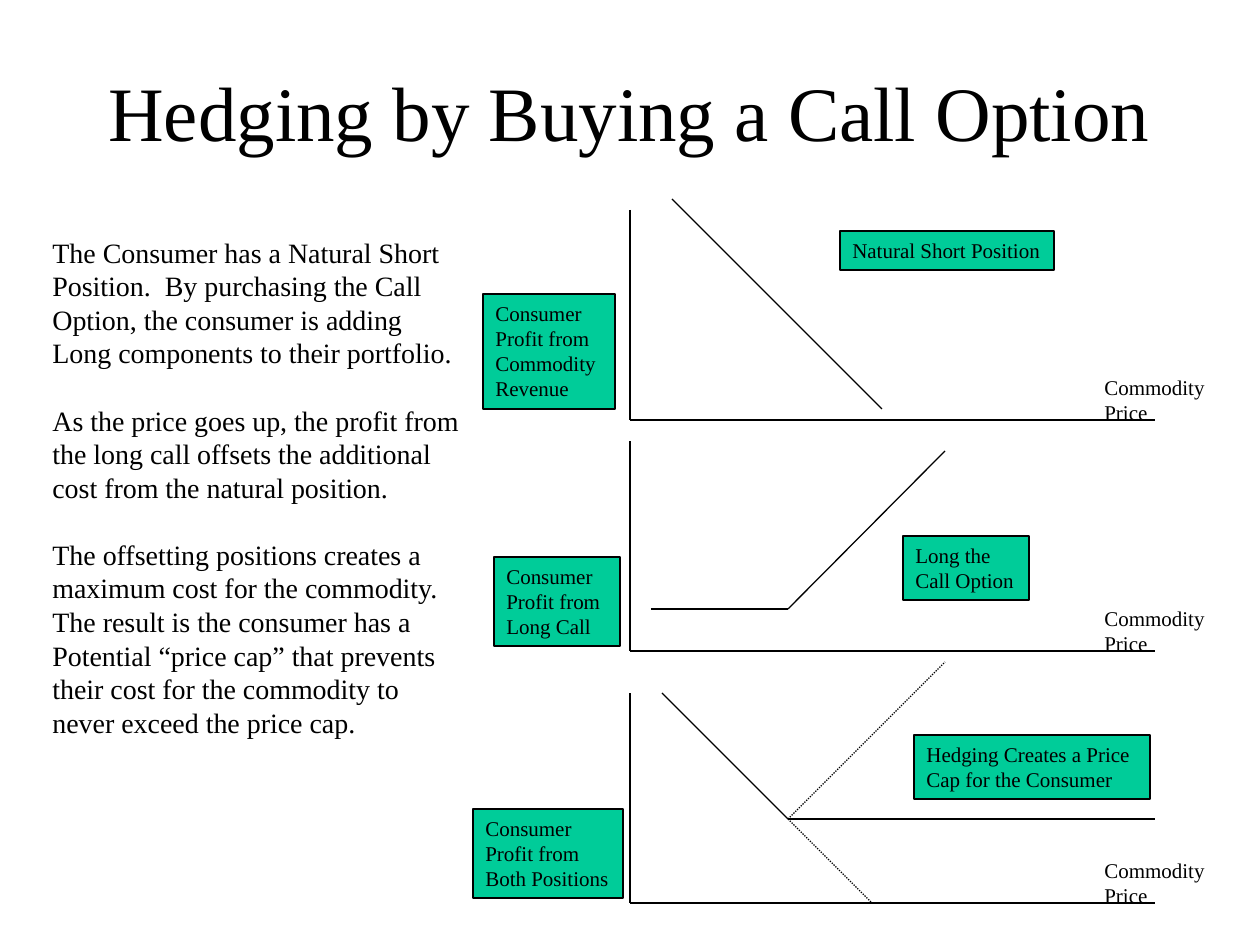
"""Build a slide on hedging a natural short position with a call option."""
from typing import NamedTuple

from lxml import etree
from pptx import Presentation
from pptx import util as u
from pptx.dml.color import RGBColor
from pptx.enum import dml, shapes, text
from pptx.oxml.ns import qn

SCALE = 914400 / 126
FONT = "Times New Roman"
HUES = {"ink": "000000", "box": "00CC99"}
LEFT, RIGHT, TALL = 630, 1155, 210


class Box(NamedTuple):
    x: int
    y: int
    w: int
    h: int
    words: str


class Line(NamedTuple):
    x1: int
    y1: int
    x2: int
    y2: int
    dots: bool = False


TOPS = [210, 441, 693]
BOXES = [
    Box(483, 294, 132, 115, "Consumer\nProfit from\nCommodity\nRevenue"),
    Box(840, 231, 214, 39, "Natural Short Position"),
    Box(494, 557, 126, 89, "Consumer\nProfit from\nLong Call"),
    Box(903, 536, 126, 64, "Long the\nCall Option"),
    Box(473, 809, 150, 89, "Consumer\nProfit from\nBoth Positions"),
    Box(914, 735, 236, 64, "Hedging Creates a Price\nCap for the Consumer"),
]
PAYOFFS = [
    Line(672, 199, 882, 409),
    Line(651, 609, 788, 609),
    Line(788, 609, 945, 451),
    Line(662, 693, 788, 819),
    Line(788, 819, RIGHT, 819),
    Line(788, 819, 945, 662, True),
    Line(788, 819, 872, 903, True),
]
STORY = Box(40, 229, 433, 518, """The Consumer has a Natural Short
Position.  By purchasing the Call
Option, the consumer is adding
Long components to their portfolio.

As the price goes up, the profit from
the long call offsets the additional
cost from the natural position.

The offsetting positions creates a
maximum cost for the commodity.
The result is the consumer has a
Potential “price cap” that prevents
their cost for the commodity to
never exceed the price cap.""")


def px(n: float) -> int:
    return round(n * SCALE)


def hue(name: str) -> RGBColor:
    return RGBColor.from_string(HUES[name])


def write(frame, words: str, size: int = 12, align=text.PP_ALIGN.LEFT,
          anchor=text.MSO_ANCHOR.TOP, wrap: bool = False, gap: float = 0) -> None:
    frame.word_wrap = wrap
    frame.auto_size = text.MSO_AUTO_SIZE.NONE
    frame.vertical_anchor = anchor
    first = True
    for block in words.split("\n\n"):
        for i, row in enumerate(block.split("\n")):
            para = frame.paragraphs[0] if first else frame.add_paragraph()
            para.alignment = align
            if i == 0 and not first:
                para.space_before = u.Pt(gap)
            first = False
            run = para.add_run()
            run.text = row
            run.font.name = FONT
            run.font.size = u.Pt(size)
            run.font.color.rgb = hue("ink")


def place(box: Box) -> list[int]:
    return [px(n) for n in box[:4]]


def label(slide, box: Box, **form) -> None:
    write(slide.shapes.add_textbox(*place(box)).text_frame, box.words, **form)


def plate(slide, box: Box) -> None:
    shape = slide.shapes.add_shape(shapes.MSO_SHAPE.RECTANGLE, *place(box))
    shape.shadow.inherit = False
    shape.fill.solid()
    shape.fill.fore_color.rgb = hue("box")
    shape.line.color.rgb = hue("ink")
    shape.line.width = u.Pt(0.75)
    write(shape.text_frame, box.words)


def draw(slide, line: Line) -> None:
    link = slide.shapes.add_connector(
        shapes.MSO_CONNECTOR.STRAIGHT, *[px(n) for n in line[:4]])
    link.line.color.rgb = hue("ink")
    link.line.width = u.Pt(0.75)
    if line.dots:
        link.line.dash_style = dml.MSO_LINE.ROUND_DOT
    etree.SubElement(link._element.spPr, qn("a:effectLst"))


def main() -> None:
    deck = Presentation()
    deck.slide_width, deck.slide_height = u.Inches(10), u.Inches(7.5)
    slide = deck.slides.add_slide(deck.slide_layouts[5])
    title = slide.shapes.title
    head = Box(94, 32, 1071, 157, "Hedging by Buying a Call Option")
    title.left, title.top, title.width, title.height = place(head)
    write(title.text_frame, head.words, size=44, align=text.PP_ALIGN.CENTER,
          anchor=text.MSO_ANCHOR.MIDDLE, wrap=True)
    for top in TOPS:
        base = top + TALL
        draw(slide, Line(LEFT, top, LEFT, base))
        draw(slide, Line(LEFT, base, RIGHT, base))
        label(slide, Box(1092, base - 52, 126, 63, "Commodity\nPrice"))
    for box in BOXES:
        plate(slide, box)
    for line in PAYOFFS:
        draw(slide, line)
    label(slide, STORY, size=16, gap=19.2)
    deck.save("out.pptx")


if __name__ == "__main__":
    main()
